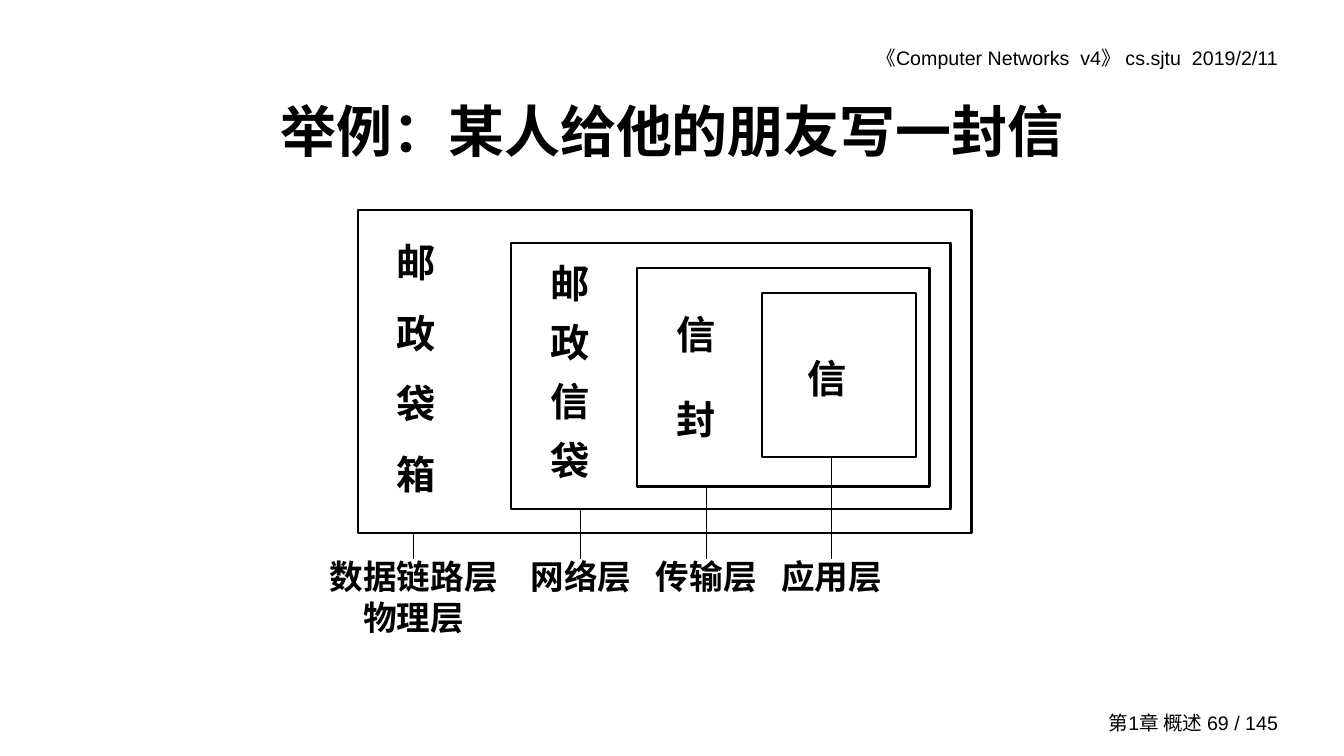
from lxml import etree
from pptx import Presentation
from pptx.dml.color import RGBColor
from pptx.enum.shapes import MSO_CONNECTOR, MSO_SHAPE
from pptx.enum.text import MSO_ANCHOR, PP_ALIGN
from pptx.oxml.ns import qn
from pptx.util import Pt

RECT, STRAIGHT = MSO_SHAPE.RECTANGLE, MSO_CONNECTOR.STRAIGHT
TOP, MIDDLE = MSO_ANCHOR.TOP, MSO_ANCHOR.MIDDLE
LEFT, CENTER, RIGHT = PP_ALIGN.LEFT, PP_ALIGN.CENTER, PP_ALIGN.RIGHT
COLORS = {"ink": "000000"}
INK = RGBColor.from_string(COLORS["ink"])
CJK = "Noto Sans CJK SC"


def set_text(sp, lines, size, bold=True, font="Arial", align=LEFT, anchor=TOP,
             spacing=1.0, gap=0, inset=7.2, right=7.2):
    tf = sp.text_frame
    tf.word_wrap = True
    tf.vertical_anchor = anchor
    tf.margin_left, tf.margin_right = Pt(inset), Pt(right)
    tf.margin_top = tf.margin_bottom = Pt(3.6)
    for i, line in enumerate(lines):
        p = tf.paragraphs[0] if i == 0 else tf.add_paragraph()
        p.alignment, p.line_spacing = align, spacing
        p.space_before, p.space_after = Pt(gap if i else 0), Pt(gap)
        r = p.add_run()
        r.text = line
        r.font.size, r.font.bold, r.font.name = Pt(size), bold, font
        r.font.color.rgb = INK
        etree.SubElement(r.font._element, qn("a:ea")).set("typeface", CJK)


prs = Presentation()
prs.slide_width, prs.slide_height = Pt(960), Pt(540)
s = prs.slides.add_slide(prs.slide_layouts[5])

title = s.shapes.title
title.left, title.top, title.width, title.height = Pt(72), Pt(48), Pt(816), Pt(90)
set_text(title, ["举例：某人给他的朋友写一封信"], 40, font=CJK, align=CENTER, anchor=MIDDLE)

header = s.shapes.add_textbox(Pt(514), Pt(29), Pt(406), Pt(24))
set_text(header, ["《Computer Networks  v4》 cs.sjtu  2019/2/11"], 14, bold=False, align=RIGHT)
footer = s.shapes.add_textbox(Pt(720), Pt(504), Pt(200), Pt(24))
set_text(footer, ["第1章 概述 69 / 145"], 14, bold=False, align=RIGHT, anchor=MIDDLE)

# Nested containers: characters, left, top, width, height, line spacing, left inset,
# then the network layers below: lines, centre, width, height
layers = [
    ("邮政袋箱", 255.5, 150, 438.5, 231, 1.5, 28, ["数据链路层", "物理层"], 295.5, 155, 69),
    ("邮政信袋", 365, 173.5, 314, 190, 1.25, 28, ["网络层"], 415, 96, 36),
    ("信封", 455, 191.5, 209, 156, 1.8, 28, ["传输层"], 504.5, 98, 36),
    ("信", 544.5, 209, 109.5, 117.5, 2.2, 32, ["应用层"], 594, 97, 36),
]
label_top = 399
for chars, x, y, w, h, spacing, inset, names, cx, label_w, label_h in layers:
    box = s.shapes.add_shape(RECT, Pt(x), Pt(y), Pt(w), Pt(h))
    box.shadow.inherit = False
    box.fill.background()
    box.line.color.rgb, box.line.width = INK, Pt(1.5)
    set_text(box, chars, 28, spacing=spacing, inset=inset)

    label = s.shapes.add_textbox(Pt(cx - label_w / 2), Pt(label_top), Pt(label_w), Pt(label_h))
    set_text(label, names, 24, align=CENTER, spacing=0.8, gap=3, inset=4.3, right=4.3)

    line = s.shapes.add_connector(STRAIGHT, Pt(cx), Pt(y + h), Pt(cx), Pt(label_top))
    line.end_connect(label, 0)
    line.line.color.rgb, line.line.width = INK, Pt(0.75)
    etree.SubElement(line._element.spPr, qn("a:effectLst"))

prs.save("out.pptx")
